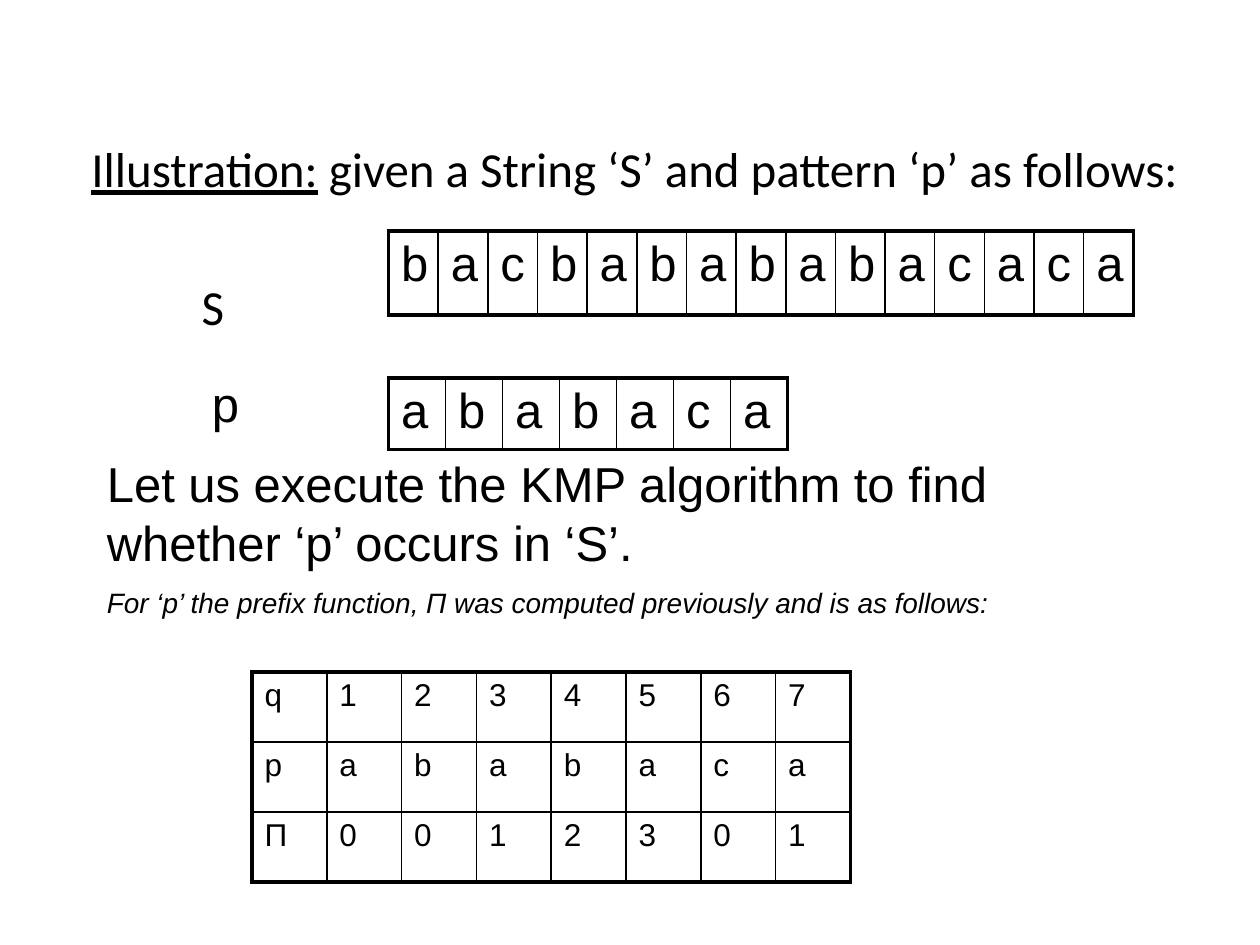
from lxml.etree import SubElement
from pptx import Presentation
from pptx.dml.color import RGBColor
from pptx.enum.text import MSO_ANCHOR, MSO_AUTO_SIZE
from pptx.oxml.ns import qn
from pptx.util import Inches, Pt

COLORS = {"ink": "000000"}
INK = RGBColor.from_string(COLORS["ink"])

prs = Presentation()
prs.slide_width, prs.slide_height = Inches(10), Inches(7.5)
U = prs.slide_width / 120
s = prs.slides.add_slide(prs.slide_layouts[1])
title = s.shapes.title
title.element.getparent().remove(title.element)


def style(p, size, name="Arial"):
    for r in p.runs:
        r.font.size = Pt(size)
        r.font.name = name
        r.font.color.rgb = INK


def border(cell, side, width):
    ln = SubElement(cell._tc.get_or_add_tcPr(), qn(f"a:ln{side}"), w=str(Pt(width)))
    fill = SubElement(ln, qn("a:solidFill"))
    SubElement(fill, qn("a:srgbClr"), val=COLORS["ink"])


body = s.placeholders[1]
body.left, body.top, body.width, body.height = [int(n * U) for n in (7.5, 12.6, 108, 76.4)]
tf = body.text_frame
tf.auto_size = MSO_AUTO_SIZE.NONE
tf.vertical_anchor = MSO_ANCHOR.TOP
p = tf.paragraphs[0]
p.text = "Illustration:"
p.runs[0].font.underline = True
p.add_run().text = " given a String ‘S’ and pattern ‘p’ as follows:"
tf.add_paragraph().text = "S"
for p, left, hang, gap in zip(tf.paragraphs, (4.5, 10.5), (-4.5, 0), (0, 45)):
    pPr = p._p.get_or_add_pPr()
    pPr.set("marL", str(int(left * U)))
    pPr.set("indent", str(int(hang * U)))
    SubElement(pPr, qn("a:buNone"))
    p.space_before = Pt(gap)
    style(p, 28, "Calibri")

texts = [
    ((19, 35, 5, 6.8), False, [("p", 28)]),
    ((9, 42.6, 97.2, 17.4), True, [
        ("Let us execute the KMP algorithm to find whether ‘p’ occurs in ‘S’.", 28),
        ("For ‘p’ the prefix function, Π was computed previously and is as follows:", 16),
    ]),
]
for box, wrap, lines in texts:
    tf = s.shapes.add_textbox(*[int(n * U) for n in box]).text_frame
    tf.word_wrap = wrap
    for i, (text, size) in enumerate(lines):
        p = tf.add_paragraph() if i else tf.paragraphs[0]
        p.text = text
        style(p, size)
        if i:
            p.space_before = Pt(size / 2)
            p.runs[0].font.italic = True

tables = [
    ((37, 22, 71, 8), 28, ["bacbabababacaca"]),
    ((37, 36, 38, 6.8), 28, ["ababaca"]),
    ((24, 64, 57, 20), 18, ["q1234567", "pababaca", "Π0012301"]),
]
for box, size, rows in tables:
    n_rows, n_cols = len(rows), len(rows[0])
    left, top, width, height = [int(n * U) for n in box]
    tbl = s.shapes.add_table(n_rows, n_cols, left, top, width, height).table
    tbl.first_row = tbl.horz_banding = False
    for i, row in enumerate(rows):
        for j, letter in enumerate(row):
            cell = tbl.cell(i, j)
            cell.text = letter
            style(cell.text_frame.paragraphs[0], size)
            edges = {"L": j == 0, "R": j == n_cols - 1, "T": i == 0, "B": i == n_rows - 1}
            for side, outer in edges.items():
                border(cell, side, 2.25 if outer else 1)
            cell.fill.background()

prs.save("out.pptx")
